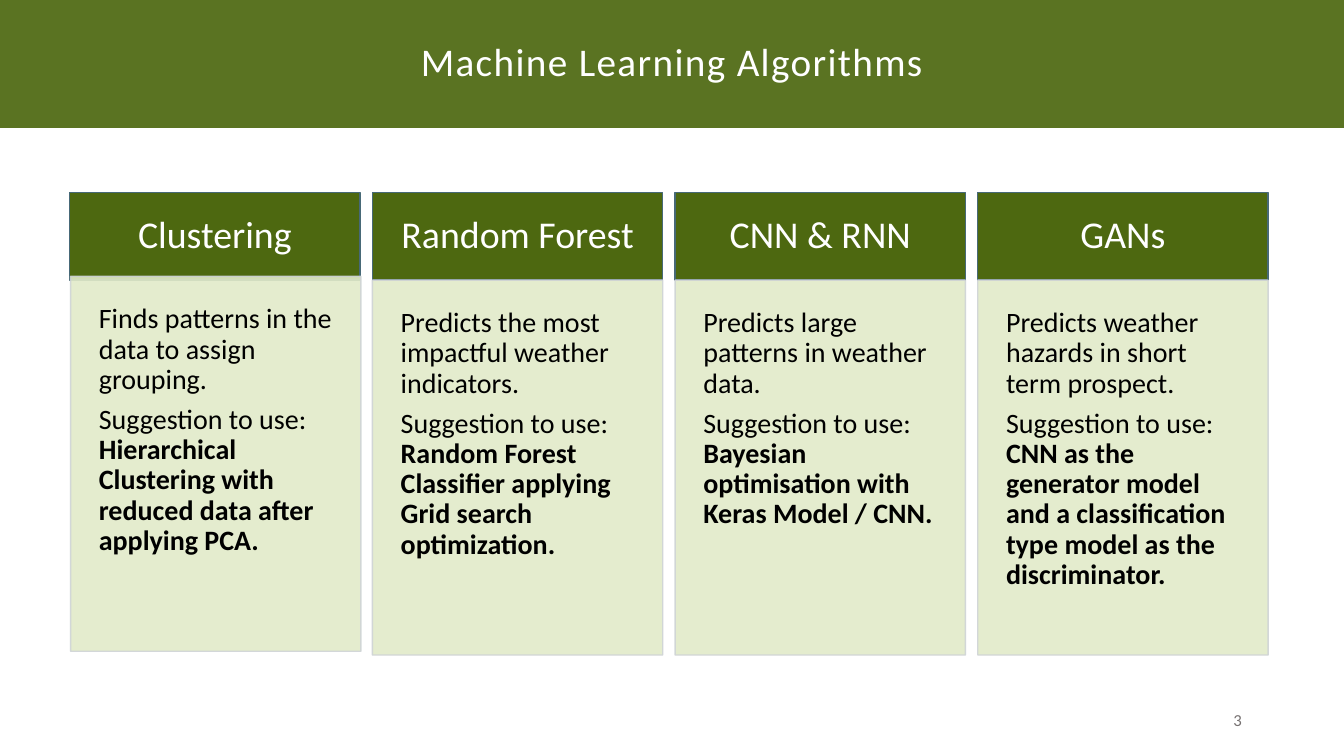
from dataclasses import dataclass

from lxml import etree
from pptx import Presentation
from pptx import util as u
from pptx.dml.color import RGBColor
from pptx.enum import shapes, text
from pptx.oxml.ns import qn

TITLE = "Machine Learning Algorithms"
PAGE_NUMBER = "3"
LEAD = "Suggestion to use: "
ALGORITHMS = [
    ("Clustering", "Finds patterns in the data to assign grouping.",
     "Hierarchical Clustering with reduced data after applying PCA."),
    ("Random Forest", "Predicts the most impactful weather indicators.",
     "Random Forest Classifier applying Grid search optimization."),
    ("CNN & RNN", "Predicts large patterns in weather data.",
     "Bayesian optimisation with Keras Model / CNN."),
    ("GANs", "Predicts weather hazards in short term prospect.",
     "CNN as the generator model and a classification type model as the discriminator."),
]


@dataclass(frozen=True)
class Theme:
    font: str = "Calibri"
    green: str = "4D6810"
    header_line: str = "476977"
    pale: str = "E2EAC9"
    pale_line: str = "CFD4D6"
    white: str = "FFFFFF"
    black: str = "000000"
    grey: str = "767171"
    title_size: int = 28
    header_size: int = 27
    body_size: int = 20
    number_size: int = 12


THEME = Theme()
SLIDE_WIDTH, SLIDE_HEIGHT = 960, 540
BANNER_HEIGHT = 91.4
COLUMN_LEFT, COLUMN_STEP, COLUMN_WIDTH = 49.8, 216.2, 207.4
HEADER_TOP, HEADER_HEIGHT = 137.5, 62.6
BODY_HEIGHT = 267.8
FIRST_BODY_SHIFT = (0.6, -2.7)
LINE_SPACING = 0.9
PARAGRAPH_GAP = 7


def set_alpha(color_format_parent, percent):
    for color in color_format_parent.iter(qn("a:srgbClr")):
        etree.SubElement(color, qn("a:alpha")).set("val", str(percent * 1000))


def add_box(slide, bounds, fill, line=None, alpha=100):
    box = slide.shapes.add_shape(shapes.MSO_SHAPE.RECTANGLE, *map(u.Pt, bounds))
    box.shadow.inherit = False
    box.fill.solid()
    box.fill.fore_color.rgb = RGBColor.from_string(fill)
    if line:
        box.line.color.rgb = RGBColor.from_string(line)
        box.line.width = u.Pt(1)
    else:
        box.line.fill.background()
    if alpha < 100:
        set_alpha(box.element.spPr, alpha)
    return box


def set_frame(shape, anchor, horizontal, vertical):
    frame = shape.text_frame
    frame.word_wrap = True
    frame.vertical_anchor = anchor
    frame.margin_left = frame.margin_right = u.Pt(horizontal)
    frame.margin_top = frame.margin_bottom = u.Pt(vertical)
    return frame


def format_text(frame, size, color, alignment, letter_spacing=0):
    for paragraph in frame.paragraphs:
        paragraph.alignment = alignment
        paragraph.line_spacing = LINE_SPACING
        paragraph.space_after = u.Pt(0)
        for run in paragraph.runs:
            run.font.name = THEME.font
            run.font.size = u.Pt(size)
            run.font.color.rgb = RGBColor.from_string(color)
            if letter_spacing:
                run.font._element.set("spc", str(letter_spacing * 100))


def add_banner(slide):
    banner = add_box(slide, (0, 0, SLIDE_WIDTH, BANNER_HEIGHT), THEME.green, alpha=92)
    frame = set_frame(banner, text.MSO_ANCHOR.MIDDLE, 57.6, 3.6)
    frame.text = TITLE
    format_text(frame, THEME.title_size, THEME.white, text.PP_ALIGN.CENTER, 1)


def add_page_number(slide):
    number = slide.shapes.add_textbox(*map(u.Pt, (678.2, 500.4, 216, 28.8)))
    frame = set_frame(number, text.MSO_ANCHOR.MIDDLE, 7.2, 3.6)
    frame.text = PAGE_NUMBER
    format_text(frame, THEME.number_size, THEME.grey, text.PP_ALIGN.RIGHT, 1)


def add_column(slide, index, name, purpose, suggestion):
    left = COLUMN_LEFT + index * COLUMN_STEP
    header = add_box(slide, (left, HEADER_TOP, COLUMN_WIDTH, HEADER_HEIGHT),
                     THEME.green, THEME.header_line)
    frame = set_frame(header, text.MSO_ANCHOR.MIDDLE, 16.5, 16.5)
    frame.text = name
    format_text(frame, THEME.header_size, THEME.white, text.PP_ALIGN.CENTER)

    shift_x, shift_y = FIRST_BODY_SHIFT if index == 0 else (0, 0)
    body = add_box(slide, (left + shift_x, HEADER_TOP + HEADER_HEIGHT + shift_y,
                           COLUMN_WIDTH, BODY_HEIGHT),
                   THEME.pale, THEME.pale_line, 90)
    frame = set_frame(body, text.MSO_ANCHOR.TOP, 20.2, 20.2)
    frame.text = purpose
    advice = frame.add_paragraph()
    advice.text = LEAD
    emphasis = advice.add_run()
    emphasis.text = suggestion
    emphasis.font.bold = True
    format_text(frame, THEME.body_size, THEME.black, text.PP_ALIGN.LEFT)
    frame.paragraphs[0].space_after = u.Pt(PARAGRAPH_GAP)


def main():
    presentation = Presentation()
    presentation.slide_width = u.Pt(SLIDE_WIDTH)
    presentation.slide_height = u.Pt(SLIDE_HEIGHT)
    slide = presentation.slides.add_slide(presentation.slide_layouts[6])
    add_banner(slide)
    add_page_number(slide)
    for index, algorithm in enumerate(ALGORITHMS):
        add_column(slide, index, *algorithm)
    presentation.save("out.pptx")


if __name__ == "__main__":
    main()
